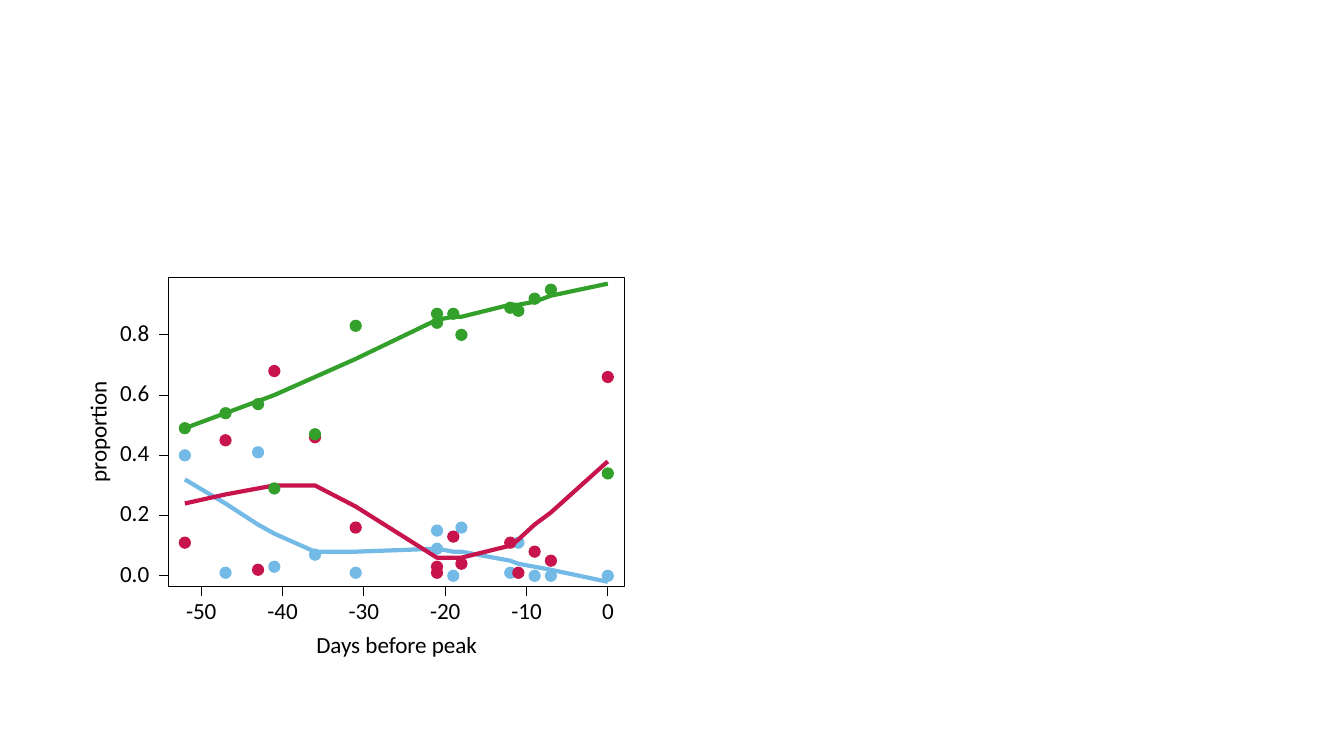
from lxml.etree import SubElement
from pptx import Presentation
from pptx.dml.color import RGBColor
from pptx.enum.shapes import MSO_CONNECTOR as Connector
from pptx.enum.shapes import MSO_SHAPE as Shape
from pptx.enum.text import MSO_ANCHOR as Anchor
from pptx.enum.text import PP_ALIGN as Align
from pptx.oxml.ns import qn
from pptx.util import Pt

BLACK = RGBColor(0x00, 0x00, 0x00)
BLUE = RGBColor(0x73, 0xBA, 0xE6)
RED = RGBColor(0xC7, 0x14, 0x4C)
GREEN = RGBColor(0x33, 0xA0, 0x2C)
FONT, FONT_SIZE = "Calibri", 16.5

# Scale of the plot, in points
DAY_WIDTH, UNIT_HEIGHT = 5.81, 215.1
ZERO_X, ZERO_Y = 314, 213.3
DOT, TICK = 8.8, 6.5
THIN, THICK = 0.75, 3

DAYS = (-52, -47, -43, -41, -36, -31, -21, -21, -19, -18, -12, -11, -9, -7, 0)

# Colour, observed proportions, fitted trend
GROUPS = (
    (BLUE,
     (.40, .01, .41, .03, .07, .01, .09, .15, 0, .16, .01, .11, 0, 0, 0),
     (.32, .24, .17, .14, .08, .08, .09, .09, .08, .08, .05, .04, .03, .02, -.02)),
    (RED,
     (.11, .45, .02, .68, .46, .16, .03, .01, .13, .04, .11, .01, .08, .05, .66),
     (.24, .27, .29, .30, .30, .23, .06, .06, .06, .06, .10, .12, .17, .21, .38)),
    (GREEN,
     (.49, .54, .57, .29, .47, .83, .87, .84, .87, .80, .89, .88, .92, .95, .34),
     (.49, .54, .58, .60, .66, .72, .85, .85, .86, .86, .90, .90, .91, .93, .97)),
)


def write(slide, text, center_x, center_y, width, height=14, size=FONT_SIZE,
          color=BLACK, rotation=0):
    label = slide.shapes.add_textbox(
        Pt(center_x - width / 2), Pt(center_y - height / 2), Pt(width), Pt(height))
    label.rotation = rotation
    frame = label.text_frame
    frame.word_wrap = False
    frame.vertical_anchor = Anchor.MIDDLE
    frame.margin_left = frame.margin_right = frame.margin_top = frame.margin_bottom = 0
    line = frame.paragraphs[0]
    line.alignment, line.line_spacing = Align.CENTER, Pt(size)
    run = line.add_run()
    run.text = text
    run.font.name, run.font.size = FONT, Pt(size)
    run.font.color.rgb = color


def rule(slide, x1, y1, x2, y2):
    stroke = slide.shapes.add_connector(
        Connector.STRAIGHT, Pt(x1), Pt(y1), Pt(x2), Pt(y2))
    stroke.line.color.rgb, stroke.line.width = BLACK, Pt(THIN)
    SubElement(stroke._element.spPr, qn("a:effectLst"))


def dots(slide, points, color):
    for x, y in points:
        dot = slide.shapes.add_shape(
            Shape.OVAL, Pt(x - DOT / 2), Pt(y - DOT / 2), Pt(DOT), Pt(DOT))
        dot.shadow.inherit = False
        dot.fill.solid()
        dot.fill.fore_color.rgb = color
        dot.line.fill.background()


def trend_line(slide, points, color):
    start, *rest = [(Pt(x), Pt(y)) for x, y in points]
    outline = slide.shapes.build_freeform(*start)
    outline.add_line_segments(rest, close=False)
    trend = outline.convert_to_shape()
    trend.shadow.inherit = False
    trend.fill.background()
    trend.line.color.rgb, trend.line.width = color, Pt(THICK)


def axes(slide, left, top, width, height, day_x, proportion_y):
    bottom = top + height

    # Days axis
    day_ticks = range(-50, 1, 10)
    rule(slide, day_x(day_ticks[0]), bottom, day_x(day_ticks[-1]), bottom)
    for day in day_ticks:
        rule(slide, day_x(day), bottom, day_x(day), bottom + TICK)
        write(slide, str(day), day_x(day), bottom + 18.4, 23 if day else 8.6, 11)
    write(slide, "Days before peak", left + width / 2, bottom + 43, 119)

    # Proportion axis
    proportion_ticks = [step / 5 for step in range(5)]
    rule(slide, left, proportion_y(proportion_ticks[0]),
         left, proportion_y(proportion_ticks[-1]))
    for value in proportion_ticks:
        y = proportion_y(value)
        rule(slide, left, y, left - TICK, y)
        write(slide, f"{value:.1f}", left - 24, y - 0.5, 22.3, 11)
    write(slide, "proportion", left - 49, top + height / 2, 76.3, rotation=270)

    # Frame
    frame = slide.shapes.add_shape(
        Shape.RECTANGLE, Pt(left), Pt(top), Pt(width), Pt(height))
    frame.shadow.inherit = False
    frame.fill.background()
    frame.line.color.rgb, frame.line.width = BLACK, Pt(THIN)


def proportion_plot(slide, left, top, width, height):
    def day_x(day):
        return left + ZERO_X + day * DAY_WIDTH

    def proportion_y(value):
        return top + ZERO_Y - value * UNIT_HEIGHT

    def located(values):
        return [(day_x(day), proportion_y(value)) for day, value in zip(DAYS, values)]

    axes(slide, left, top, width, height, day_x, proportion_y)
    for color, observed, trend in GROUPS:
        dots(slide, located(observed), color)
        trend_line(slide, located(trend), color)


deck = Presentation()
deck.slide_width, deck.slide_height = Pt(960), Pt(540)
proportion_slide = deck.slides.add_slide(deck.slide_layouts[6])
proportion_plot(proportion_slide, 120.2, 198, 326.2, 221)
deck.save("out.pptx")
